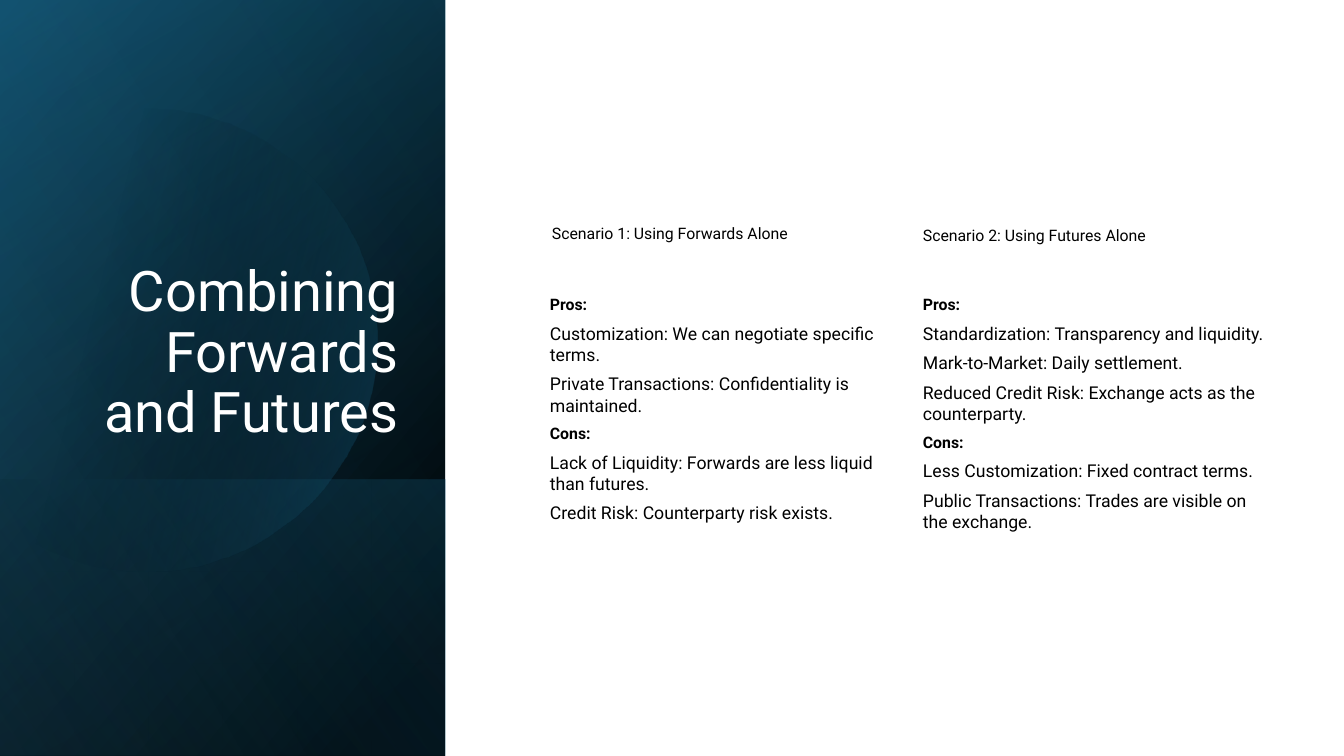
import math
from pptx import Presentation, util as u
from pptx.dml.color import RGBColor
from pptx.enum import shapes, text
from pptx.oxml.ns import qn
from lxml import etree

PX = 914400 / 100.8
COLORS = {"black": "000000", "navy": "104862", "teal": "156082",
          "sky": "46B1E1", "white": "FFFFFF"}


def shade(panel, angle, *stops):
    panel.shadow.inherit = False
    panel.line.fill.background()
    panel.fill.gradient()
    panel.fill.gradient_angle = 360 - angle
    for stop, (position, color, _) in zip(panel.fill.gradient_stops, stops):
        stop.position = position / 100
        stop.color.rgb = RGBColor.from_string(COLORS[color])
    tints = panel._element.spPr.iter(qn("a:srgbClr"))
    for tint, (_, _, opacity) in zip(tints, stops):
        etree.SubElement(tint, qn("a:alpha")).set("val", str(opacity * 1000))


def write(box, lines, color="black", align=text.PP_ALIGN.LEFT, spacing=1, after=6):
    left, top, width, height = [round(v * PX) for v in box]
    frame = slide.shapes.add_textbox(left, top, width, height).text_frame
    frame.word_wrap = True
    for i, (line, size, bold) in enumerate(lines):
        paragraph = frame.paragraphs[0] if i == 0 else frame.add_paragraph()
        paragraph.text = line
        paragraph.alignment = align
        paragraph.line_spacing = spacing
        paragraph.space_after = u.Pt(after)
        paragraph.font.name = "Roboto"
        paragraph.font.size = u.Pt(size)
        paragraph.font.bold = bold
        paragraph.font.color.rgb = RGBColor.from_string(COLORS[color])
    return frame


deck = Presentation()
deck.slide_width, deck.slide_height = round(1344 * PX), round(756 * PX)
slide = deck.slides.add_slide(deck.slide_layouts[6])

PANEL_WIDTH, PANEL_HEIGHT = 445, 756
layers = [
    (0, 220, (8, "black", 100), (100, "navy", 100)),
    (0, 240, (0, "black", 0), (99, "teal", 46)),
    (480, 140, (2, "teal", 29), (100, "black", 30)),
    "disc",
    (0, 150, (0, "black", 0), (99, "sky", 11)),
]
for layer in layers:
    if layer == "disc":
        center_x, center_y, radius = 146, 340, 231
        edge = math.acos(-center_x / radius)
        arc = [edge * (step / 60 - 1) for step in range(121)]
        rim = [(round(center_x + radius * math.cos(a), 2),
                round(center_y + radius * math.sin(a), 2)) for a in arc]
        outline = slide.shapes.build_freeform(*rim[0], scale=PX)
        outline.add_line_segments(rim[1:], close=True)
        shade(outline.convert_to_shape(), 14, (29, "black", 0), (100, "teal", 43))
        continue
    top, angle, *stops = layer
    panel = slide.shapes.add_shape(
        shapes.MSO_SHAPE.RECTANGLE, 0, round(top * PX),
        round(PANEL_WIDTH * PX), round((PANEL_HEIGHT - top) * PX))
    shade(panel, angle, *stops)

title = write((65, 185, 343, 265), [("Combining Forwards and Futures", 40, False)],
              "white", text.PP_ALIGN.RIGHT, 0.9, 0)
title.vertical_anchor = text.MSO_ANCHOR.BOTTOM

scenarios = [
    ("Scenario 1: Using Forwards Alone", (542, 219), 540,
     ["Customization: We can negotiate specific terms.",
      "Private Transactions: Confidentiality is maintained."],
     ["Lack of Liquidity: Forwards are less liquid than futures.",
      "Credit Risk: Counterparty risk exists."]),
    ("Scenario 2: Using Futures Alone", (913, 221), 913,
     ["Standardization: Transparency and liquidity.",
      "Mark-to-Market: Daily settlement.",
      "Reduced Credit Risk: Exchange acts as the counterparty."],
     ["Less Customization: Fixed contract terms.",
      "Public Transactions: Trades are visible on the exchange."]),
]
for heading, (heading_left, heading_top), left, pros, cons in scenarios:
    write((heading_left, heading_top, 361, 38), [(heading, 11.3, False)])
    points = []
    for label, entries in (("Pros:", pros), ("Cons:", cons)):
        points.append((label, 11.3, True))
        points += [(entry, 12.6, False) for entry in entries]
    write((left, 290, 361, 257), points)

deck.save("out.pptx")
